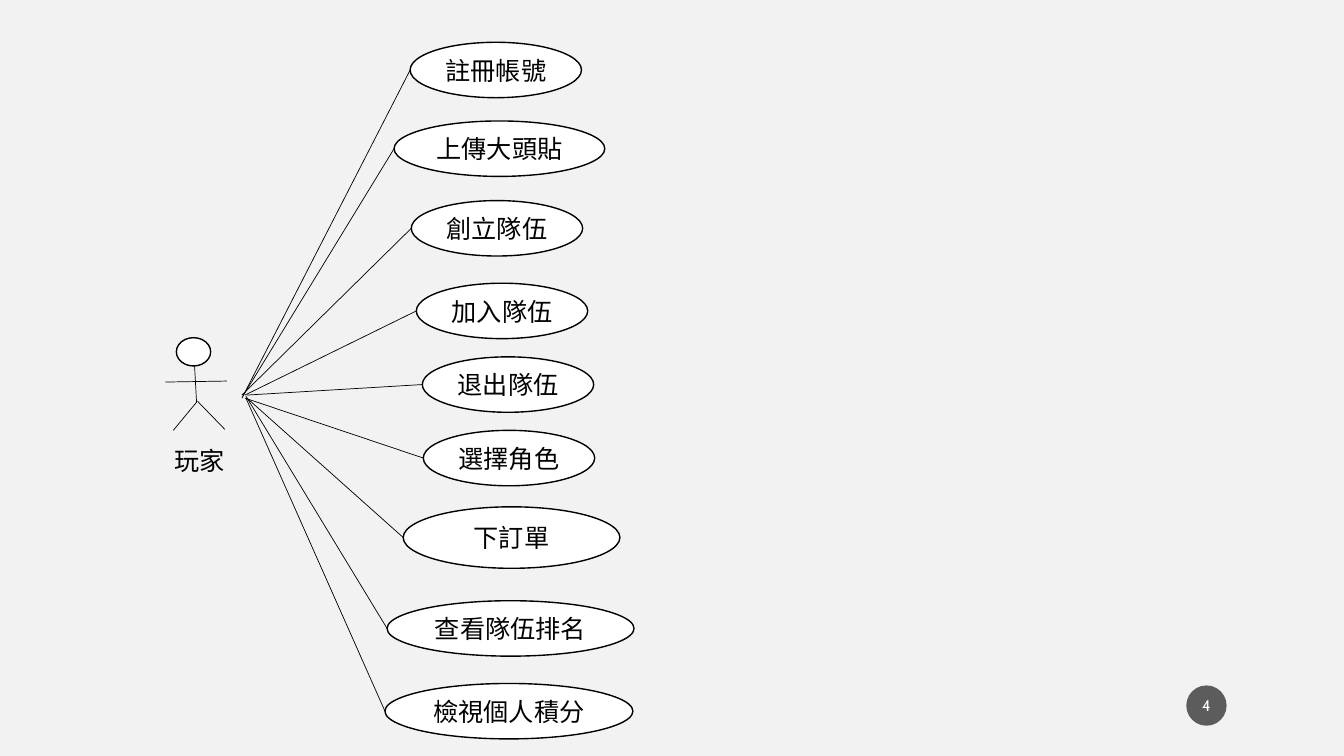
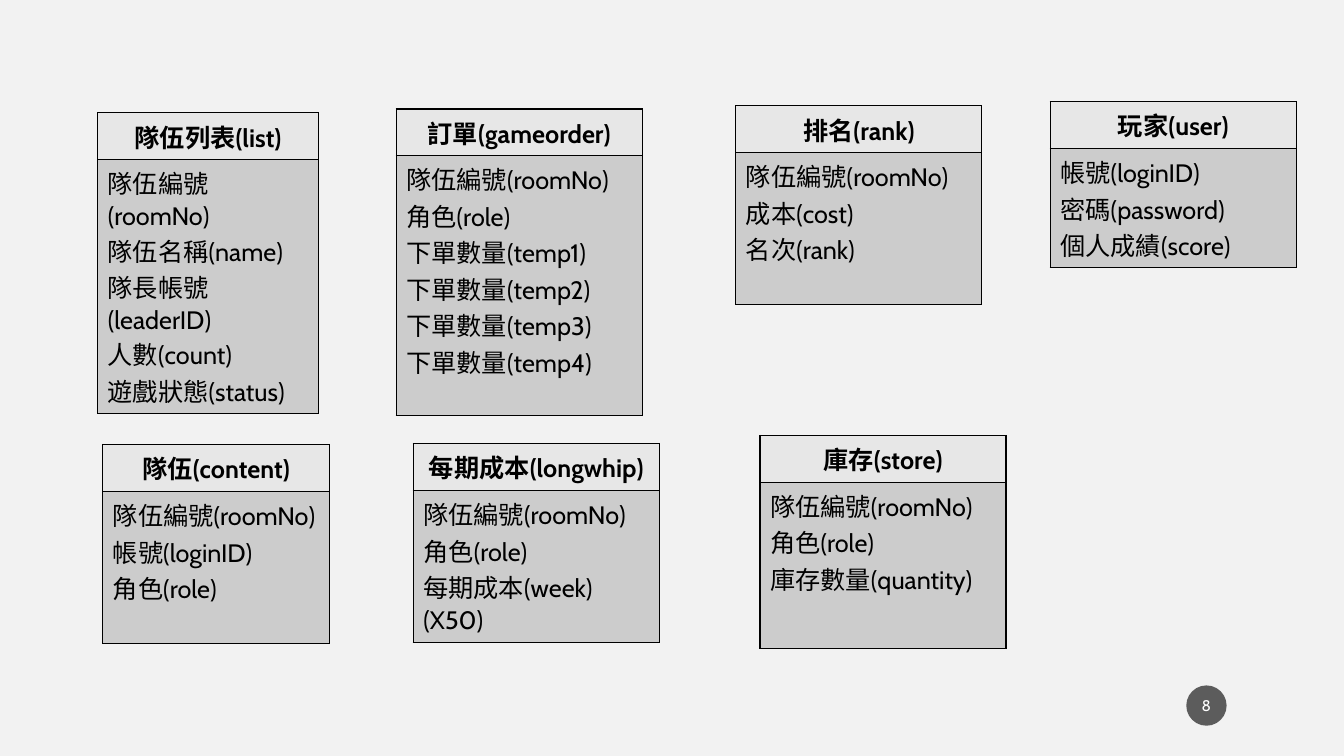
from dataclasses import dataclass
from lxml.etree import SubElement
from pptx import Presentation
from pptx.dml.color import RGBColor
from pptx.enum.shapes import MSO_CONNECTOR, MSO_SHAPE
from pptx.enum.text import MSO_ANCHOR, PP_ALIGN
from pptx.oxml.ns import qn
from pptx.util import Pt


@dataclass(frozen=True)
class Theme:
    font: str = "Cabin"
    page: str = "F2F2F2"
    ink: str = "000000"
    paper: str = "FFFFFF"
    badge: str = "1D1D1D"
    head: str = "E7E7E7"
    body: str = "CCCCCC"
    text: int = 18
    small: int = 11
    edge: float = 1
    thin: float = 0.5
    row: float = 33.4


class Deck:
    def __init__(self, theme):
        self.theme = theme
        self.show = Presentation()
        self.show.slide_width, self.show.slide_height = Pt(960), Pt(540)
        self.paint(self.show.slide_master.background.fill, theme.page)

    def paint(self, fill, color):
        fill.solid()
        fill.fore_color.rgb = RGBColor.from_string(color)

    def page(self, number):
        self.slide = self.show.slides.add_slide(self.show.slide_layouts[6])
        self.shapes = self.slide.shapes
        badge = self.oval(847.4, 489.6, 28.8, 28.8, self.theme.badge)
        badge.line.fill.background()
        color = badge._element.spPr.find(qn("a:solidFill"))[0]
        SubElement(color, qn("a:alpha"), val="70000")
        frame = badge.text_frame
        frame.margin_left = frame.margin_right = Pt(1.4)
        self.label(frame, [number], self.theme.paper, self.theme.small, PP_ALIGN.CENTER)

    def label(self, frame, lines, color=None, size=None, align=PP_ALIGN.LEFT, bold=False):
        frame.word_wrap = True
        for i, line in enumerate(lines):
            para = frame.add_paragraph() if i else frame.paragraphs[0]
            para.alignment = align
            run = para.add_run()
            run.text = line
            font = run.font
            font.name, font.bold = self.theme.font, bold
            font.size = Pt(size or self.theme.text)
            font.color.rgb = RGBColor.from_string(color or self.theme.ink)

    def oval(self, x, y, w, h, fill=None, name=None):
        shape = self.shapes.add_shape(MSO_SHAPE.OVAL, Pt(x), Pt(y), Pt(w), Pt(h))
        shape.shadow.inherit = False
        self.paint(shape.fill, fill or self.theme.paper)
        self.paint(shape.line.fill, self.theme.ink)
        shape.line.width = Pt(self.theme.edge)
        shape.text_frame.vertical_anchor = MSO_ANCHOR.MIDDLE
        if name:
            self.label(shape.text_frame, [name], align=PP_ALIGN.CENTER)
        return shape

    def line(self, *ends):
        link = self.shapes.add_connector(MSO_CONNECTOR.STRAIGHT, *map(Pt, ends))
        self.paint(link.line.fill, self.theme.ink)
        link.line.width = Pt(self.theme.thin)
        SubElement(link._element.spPr, qn("a:effectLst"))

    def actor(self, name):
        self.shapes = self.slide.shapes.add_group_shape().shapes
        self.oval(126, 241.2, 24.5, 20.2)
        for ends in LIMBS:
            self.line(*ends)
        box = self.shapes.add_textbox(Pt(117.4), Pt(314.6), Pt(52.6), Pt(28.8))
        self.label(box.text_frame, [name])
        self.shapes = self.slide.shapes

    def cell(self, cell, lines, fill, **style):
        props = cell._tc.get_or_add_tcPr()
        for side in ("a:lnL", "a:lnR", "a:lnT", "a:lnB"):
            line = SubElement(props, qn(side), w=str(Pt(self.theme.edge)))
            ink = SubElement(line, qn("a:solidFill"))
            SubElement(ink, qn("a:srgbClr"), val=self.theme.ink)
        self.paint(cell.fill, fill)
        self.label(cell.text_frame, lines, **style)

    def table(self, x, y, w, h, name, fields):
        row = self.theme.row
        grid = self.shapes.add_table(2, 1, Pt(x), Pt(y), Pt(w), Pt(h)).table
        grid.first_row = grid.horz_banding = False
        grid.rows[0].height, grid.rows[1].height = Pt(row), Pt(h - row)
        self.cell(grid.cell(0, 0), [name], self.theme.head, align=PP_ALIGN.CENTER, bold=True)
        self.cell(grid.cell(1, 0), fields, self.theme.body)


LIMBS = [
    (118.1, 272.9, 162, 272.2),
    (139, 261.4, 140.4, 287.3),
    (140.4, 287.3, 123.8, 307.4),
    (141.1, 286.6, 160.6, 306.7),
]
CASES = [
    ("註冊帳號", 293, 30.2, 122.4, 39.6, 172.8, 284.4),
    ("上傳大頭貼", 281.5, 86.4, 150.5, 39.6, 173.5, 283),
    ("創立隊伍", 293.8, 143.3, 122.4, 39.6, 172.8, 282.2),
    ("加入隊伍", 297.4, 202.3, 122.4, 39.6, 175, 282.2),
    ("退出隊伍", 301.7, 254.9, 122.4, 39.6, 176.4, 282.2),
    ("選擇角色", 302.4, 307.4, 122.4, 39.6, 175, 284.4),
    ("下訂單", 288, 362, 154.8, 43.9, 176.4, 284.4),
    ("查看隊伍排名", 276.5, 429.1, 176.4, 39.6, 175.7, 283),
    ("檢視個人積分", 275, 488.2, 177.1, 39.6, 175.7, 284.4),
]
ROOM, ROLE = "隊伍編號(roomNo)", "角色(role)"
TABLES = [
    (69.8, 80.6, 157.7, 214.4, "隊伍列表(list)",
     [ROOM, "隊伍名稱(name)", "隊長帳號(leaderID)", "人數(count)", "遊戲狀態(status)"]),
    (73.4, 317.5, 162, 142, "隊伍(content)", [ROOM, "帳號(loginID)", ROLE]),
    (283, 77.8, 175.7, 219, "訂單(gameorder)",
     [ROOM, ROLE] + [f"下單數量(temp{i})" for i in range(1, 5)]),
    (295.2, 316.8, 175.7, 142, "每期成本(longwhip)", [ROOM, ROLE, "每期成本(week)(X50)"]),
    (525.6, 75.6, 175.7, 142, "排名(rank)", [ROOM, "成本(cost)", "名次(rank)"]),
    (542.9, 311, 175.7, 152, "庫存(store)", [ROOM, ROLE, "庫存數量(quantity)"]),
    (750.2, 72.5, 175.7, 118.8, "玩家(user)",
     ["帳號(loginID)", "密碼(password)", "個人成績(score)"]),
]

deck = Deck(Theme())
deck.page("4")
deck.actor("玩家")
for name, x, y, w, h, left, top in CASES:
    deck.oval(x, y, w, h, name=name)
    deck.line(left, top, x, y + h / 2)

deck.page("8")
for entry in TABLES:
    deck.table(*entry)

deck.show.save("out.pptx")
